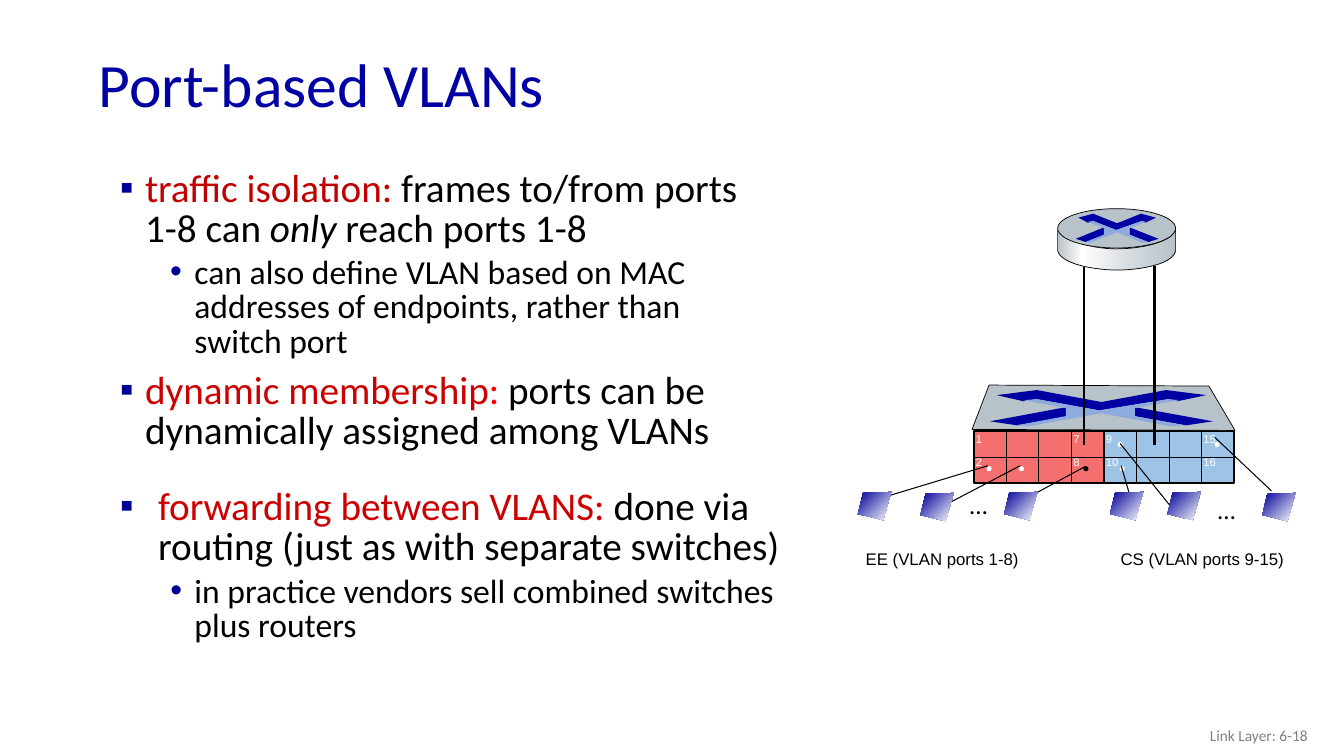
import pptx
import pptx.util
import pptx.dml.color
import pptx.enum.shapes
import pptx.enum.text
import pptx.oxml.ns
from lxml import etree

Inches, Pt = pptx.util.Inches, pptx.util.Pt
qn = pptx.oxml.ns.qn
SHAPE = pptx.enum.shapes.MSO_SHAPE
ALIGN = pptx.enum.text.PP_ALIGN
ANCHOR = pptx.enum.text.MSO_ANCHOR

# ---- Content ----
COLORS = {
    "black": "000000", "white": "FFFFFF", "title": "0000A3", "footer": "808080",
    "bullet": "000099", "dark red": "C00000", "red": "CC0000", "bright red": "FF0000",
    "EE": "F56F6F", "CS": "9DC3E6", "metal": "B8C2C9", "pale metal": "D6DCE0",
    "cross": "0000A3", "cross shade": "8FAADC", "screen": "000099",
}

# (left, top, width, height), then (level, hanging indent, runs); a run is text, colour, italic
BODY = [
    ((1.09, 1.64, 6.64, 1.93), [
        (0, 0.25, [("traffic isolation: ", "dark red", False),
                   ("frames to/from ports 1-8 can ", "black", False),
                   ("only", "black", True), (" reach ports 1-8", "black", False)]),
        (1, 0.24, [("can also define VLAN based on MAC addresses of endpoints, "
                    "rather than switch port", "black", False)])]),
    ((1.09, 3.65, 6.44, 1.76), [
        (0, 0.25, [("dynamic membership", "red", False), (":", "bright red", False),
                   (" ports can be dynamically assigned among VLANs", "black", False)])]),
    ((1.09, 4.8, 6.78, 1.76), [
        (0, 0.38, [("forwarding between VLANS: ", "red", False),
                   ("done via routing (just as with separate switches)", "black", False)]),
        (1, 0.24, [("in practice vendors sell combined switches plus routers",
                    "black", False)])]),
]
LEVELS = [("▪", 28), ("•", 24)]
SUB_INDENT = 0.74

# Port block: two VLANs of four columns by two rows
PORT_LEFT, PORT_TOP, PORT_WIDTH, PORT_HEIGHT = 9.66, 4.28, 0.3225, 0.255
VLANS = ["EE", "CS"]
COLUMNS = 4
PORT_LABELS = [("1", 0, 0), ("2", 0, 1), ("7", 3, 0), ("8", 3, 1),
               ("9", 4, 0), ("10", 4, 1), ("15", 7, 0), ("16", 7, 1)]
DOT = 0.05
PORT_DOTS = [(9.81, 4.65, "white"), (10.13, 4.65, "white"), (10.77, 4.65, "black"),
             (11.13, 4.65, "white"), (11.11, 4.41, "white"), (12.07, 4.41, "white")]
CABLES = [((9.8, 4.62), (8.81, 4.92)), ((10.12, 4.62), (9.24, 5.08)),
          ((10.76, 4.63), (10.02, 5.03)), ((11.12, 4.62), (11.24, 5.03)),
          ((11.11, 4.4), (11.64, 5.06)), ((12.05, 4.34), (12.61, 4.87))]
HOSTS = [(8.51, 4.88), (9.13, 4.89), (9.96, 4.88), (11.01, 4.88), (11.58, 4.88), (12.52, 4.89)]
HOST_OUTLINE = [(0.33, 0), (0.05, 0.01), (0, 0.22), (0.25, 0.28)]
CAPTIONS = [("EE (VLAN ports 1-8)", 8.4, 1.89), ("CS (VLAN ports 9-15)", 10.52, 2.81)]
ELLIPSES = [(9.52, 4.81), (11.98, 4.85)]
TRUNKS = [10.75, 11.45]

SWITCH_TOP = [(9.64, 4.26), (9.81, 3.82), (11.99, 3.83), (12.25, 4.27)]
SWITCH_CROSS = (9.82, 3.87, 2.21, 0.36)
ROUTER_CROSS = (10.67, 2.12, 0.82, 0.29)
ROUTER_LID = (10.49, 2.07, 1.17, 0.39)
# Router side: corner points, or three-point curves
ROUTER_SIDE = [[(11.66, 2.28)], [(11.66, 2.49)],
               [(11.63, 2.63), (11.28, 2.68), (11.08, 2.68)],
               [(10.89, 2.68), (10.53, 2.63), (10.49, 2.49)], [(10.49, 2.28)],
               [(10.55, 2.4), (10.88, 2.47), (11.07, 2.47)],
               [(11.27, 2.47), (11.61, 2.42), (11.66, 2.28)]]
# Crossed arrows in percent of their frame
CROSS = [
    ("cross", [(79, 0), (97, 14), (84, 31), (80, 25), (49, 56), (21, 25), (15, 31),
               (3, 14), (21, 0), (50, 33)]),
    ("cross", [(65, 47), (100, 86), (88, 97), (65, 72)]),
    ("cross", [(34, 47), (34, 74), (12, 97), (0, 86)]),
    ("cross shade", [(15, 28), (21, 25), (49, 56), (80, 25), (85, 28), (65, 50), (65, 72),
                     (87, 97), (81, 100), (50, 64), (17, 100), (12, 97), (34, 72), (34, 50)]),
]

presentation = pptx.Presentation()
presentation.slide_width, presentation.slide_height = Inches(13.33), Inches(7.5)
slide = presentation.slides.add_slide(presentation.slide_layouts[6])
shapes = slide.shapes


# ---- Helpers ----
def rgb(name):
    return pptx.dml.color.RGBColor.from_string(COLORS[name])


def style(shape, fill, line_width=0):
    shape.shadow.inherit = False
    if isinstance(fill, str):
        shape.fill.solid()
        shape.fill.fore_color.rgb = rgb(fill)
    else:
        angle, stops = fill
        shape.fill.gradient()
        shape.fill.gradient_angle = angle
        stop_list = next(shape._element.iter(qn("a:gsLst")))
        for stop in list(stop_list):
            stop_list.remove(stop)
        for percent, name in stops:
            stop = etree.SubElement(stop_list, qn("a:gs"), pos=str(percent * 1000))
            etree.SubElement(stop, qn("a:srgbClr"), val=COLORS[name])
    if line_width:
        shape.line.color.rgb = rgb("black")
        shape.line.width = Pt(line_width)
    else:
        shape.line.fill.background()


def add_preset(kind, box, fill, line_width=0):
    style(shapes.add_shape(kind, *map(Inches, box)), fill, line_width)


def add_polygon(points, fill, line_width=0):
    corners = [(Inches(x), Inches(y)) for x, y in points]
    builder = shapes.build_freeform(*corners[0])
    builder.add_line_segments(corners[1:], close=True)
    style(builder.convert_to_shape(), fill, line_width)


def add_line(start, end, width=0.75):
    line = shapes.add_connector(pptx.enum.shapes.MSO_CONNECTOR.STRAIGHT,
                                *map(Inches, (*start, *end)))
    line.line.color.rgb = rgb("black")
    line.line.width = Pt(width)
    etree.SubElement(line._element.spPr, qn("a:effectLst"))


def add_frame(box, wrap=True):
    frame = shapes.add_textbox(*map(Inches, box)).text_frame
    frame.word_wrap = wrap
    return frame


def set_font(font, name, size, color):
    font.name, font.size, font.color.rgb = name, Pt(size), rgb(color)


def add_label(text, box, font, size, color, align=ALIGN.LEFT, anchor=ANCHOR.TOP, wrap=True):
    frame = add_frame(box, wrap)
    frame.vertical_anchor = anchor
    paragraph = frame.paragraphs[0]
    paragraph.text, paragraph.alignment = text, align
    set_font(paragraph.font, font, size, color)
    return paragraph


def add_cross(left, top, width, height):
    for color, points in CROSS:
        add_polygon([(left + x * width / 100, top + y * height / 100) for x, y in points], color)


def trace(segments, steps=12):
    points = []
    for segment in segments:
        if len(segment) == 1:
            points += segment
            continue
        a, (b, c, d) = points[-1], segment
        for step in range(1, steps + 1):
            t = step / steps
            weights = ((1 - t) ** 3, 3 * t * (1 - t) ** 2, 3 * t * t * (1 - t), t ** 3)
            points.append(tuple(sum(w * p[axis] for w, p in zip(weights, (a, b, c, d)))
                                for axis in (0, 1)))
    return points


def add_bullet(paragraph, level, hanging):
    properties = paragraph._p.get_or_add_pPr()
    properties.set("marL", str(Inches(SUB_INDENT if level else hanging)))
    properties.set("indent", str(-Inches(hanging)))
    color = etree.SubElement(properties, qn("a:buClr"))
    etree.SubElement(color, qn("a:srgbClr"), val=COLORS["bullet"])
    etree.SubElement(properties, qn("a:buFont"), typeface="Arial")
    etree.SubElement(properties, qn("a:buChar"), char=LEVELS[level][0])


# ---- Port block ----
for vlan_index, vlan in enumerate(VLANS):
    left = PORT_LEFT + vlan_index * COLUMNS * PORT_WIDTH
    right, middle, bottom = left + COLUMNS * PORT_WIDTH, PORT_TOP + PORT_HEIGHT, PORT_TOP + 2 * PORT_HEIGHT
    add_preset(SHAPE.RECTANGLE, (left, PORT_TOP, right - left, bottom - PORT_TOP), vlan, 1.5)
    add_line((left, middle), (right, middle))
    for column in range(1, COLUMNS):
        x = left + column * PORT_WIDTH
        add_line((x, PORT_TOP), (x, bottom))
for text, column, row in PORT_LABELS:
    box = (PORT_LEFT + column * PORT_WIDTH - 0.08, 4.24 + row * 0.23, 0.19 + 0.07 * len(text), 0.23)
    add_label(text, box, "Arial", 8, "white", wrap=False)
for x, y, color in PORT_DOTS:
    add_preset(SHAPE.OVAL, (x - DOT / 2, y - DOT / 2, DOT, DOT), color)

# ---- Title and footer ----
title = add_label("Port-based VLANs", (0.88, 0.38, 11.5, 0.98), "Calibri", 44, "title",
                  anchor=ANCHOR.MIDDLE)
title.line_spacing = 0.9
add_label("Link Layer: 6-18", (10.07, 7.1, 3, 0.4), "Calibri", 11, "footer",
          ALIGN.RIGHT, ANCHOR.MIDDLE)

# ---- Switch, cables and hosts ----
add_polygon(SWITCH_TOP, "metal", 0.5)
add_cross(*SWITCH_CROSS)
for start, end in CABLES:
    add_line(start, end)
for text, left, width in CAPTIONS:
    add_label(text, (left, 5.39, width, 0.3), "Arial", 12, "black", ALIGN.CENTER)
for left, top in ELLIPSES:
    add_label("…", (left, top, 0.38, 0.4), "Calibri", 18, "black", wrap=False)
for left, top in HOSTS:
    add_polygon([(left + x, top + y) for x, y in HOST_OUTLINE],
                (315, [(0, "screen"), (100, "white")]))

# ---- Bullet text ----
for box, paragraphs in BODY:
    frame = add_frame(box)
    for index, (level, hanging, runs) in enumerate(paragraphs):
        paragraph = frame.add_paragraph() if index else frame.paragraphs[0]
        add_bullet(paragraph, level, hanging)
        paragraph.level, paragraph.line_spacing = level, 0.85
        if index:
            paragraph.space_before = Pt(5)
        set_font(paragraph.font, "Calibri", LEVELS[level][1], "black")
        for text, color, italic in runs:
            run = paragraph.add_run()
            run.text = text
            if color != "black":
                run.font.color.rgb = rgb(color)
            if italic:
                run.font.italic = True

# ---- Router and its trunks ----
for x in TRUNKS:
    add_line((x, 2.42), (x, 4.41), 1.75)
add_polygon(trace(ROUTER_SIDE),
            (0, [(0, "metal"), (21, "white"), (60, "pale metal"), (100, "metal")]), 0.5)
add_preset(SHAPE.OVAL, ROUTER_LID, "metal", 0.5)
add_cross(*ROUTER_CROSS)

presentation.save("out.pptx")
